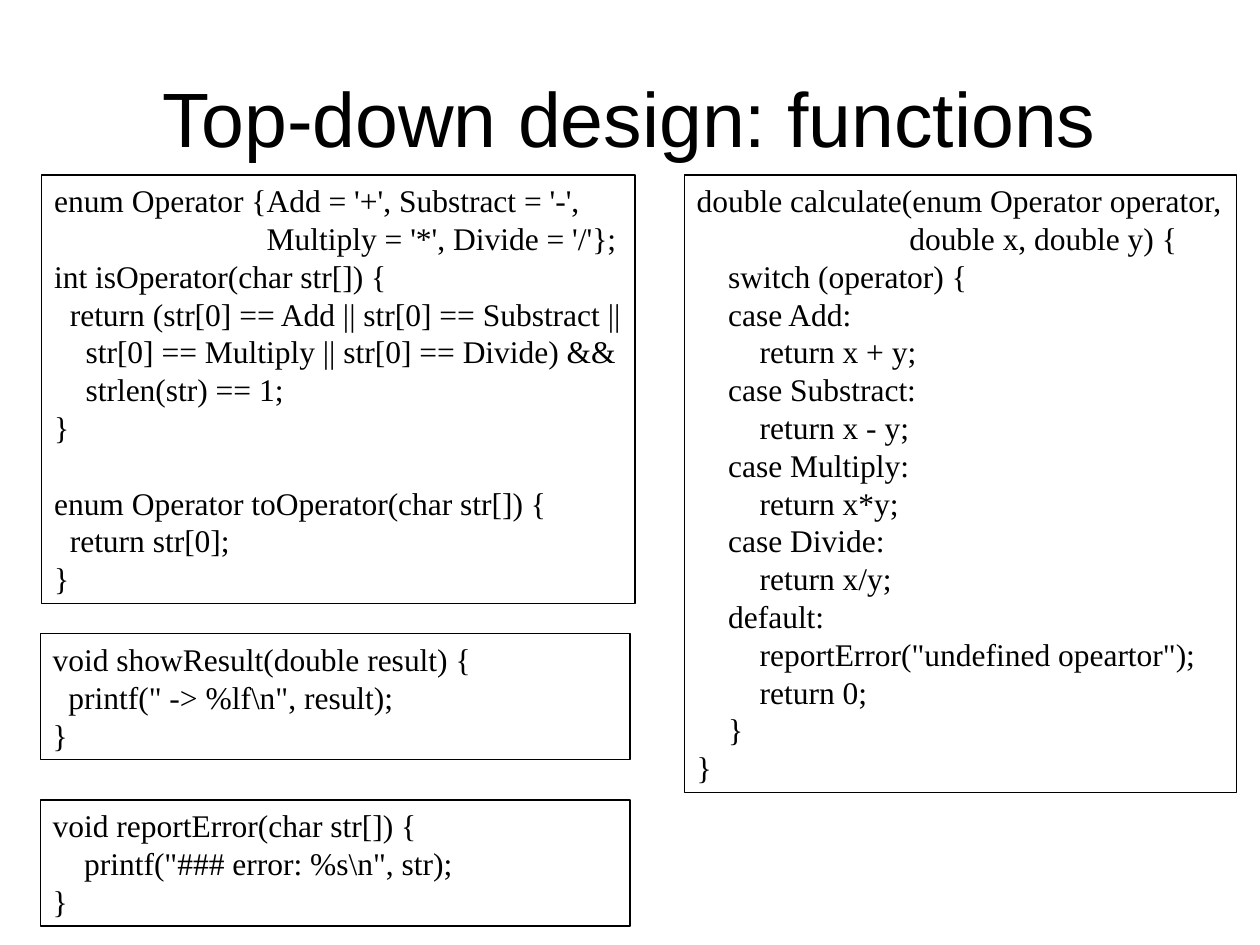
from typing import NamedTuple

from pptx import Presentation
from pptx import util as u
from pptx.dml.color import RGBColor
from pptx.enum import shapes, text

BLACK = "000000"
CODE_SIZE = 18
CODE_LEADING = 21.6
SPACE_WIDTH = CODE_SIZE / 4  # one space of Times New Roman

TITLE_FORMAT = {"name": "Arial", "size": u.Pt(44)}
CODE_FORMAT = {"name": "Times New Roman", "size": u.Pt(CODE_SIZE)}


class CodeLine(NamedTuple):
    indent: int  # in space widths
    code: str
    blank_before: int = 0  # in lines


class CodeBox(NamedTuple):
    left: float
    top: float
    width: float
    height: float
    wrap: bool
    lines: list[CodeLine]


def color(value: str) -> RGBColor:
    return RGBColor.from_string(value)


def set_attributes(target, values: dict) -> None:
    for name, value in values.items():
        setattr(target, name, value)


def write_paragraph(paragraph, words: str, font_format: dict, paragraph_format: dict) -> None:
    paragraph.text = words
    set_attributes(paragraph, paragraph_format)
    for run in paragraph.runs:
        set_attributes(run.font, font_format)
        run.font.color.rgb = color(BLACK)


def draw_title(slide, words: str) -> None:
    shape = slide.shapes.add_textbox(u.Pt(36), u.Pt(21.6), u.Pt(648), u.Pt(90))
    set_attributes(shape.text_frame, {
        "word_wrap": True, "vertical_anchor": text.MSO_ANCHOR.MIDDLE})
    write_paragraph(shape.text_frame.paragraphs[0], words, TITLE_FORMAT,
                    {"alignment": text.PP_ALIGN.CENTER})


def draw_code_box(slide, box: CodeBox) -> None:
    shape = slide.shapes.add_shape(
        shapes.MSO_SHAPE.RECTANGLE,
        u.Pt(box.left), u.Pt(box.top), u.Pt(box.width), u.Pt(box.height))
    shape.shadow.inherit = False
    shape.fill.background()
    shape.line.color.rgb = color(BLACK)
    shape.line.width = u.Pt(0.75)

    frame = shape.text_frame
    set_attributes(frame, {
        "word_wrap": box.wrap,
        "auto_size": text.MSO_AUTO_SIZE.SHAPE_TO_FIT_TEXT,
        "vertical_anchor": text.MSO_ANCHOR.TOP})
    for index, line in enumerate(box.lines):
        paragraph = frame.add_paragraph() if index else frame.paragraphs[0]
        write_paragraph(paragraph, line.code, CODE_FORMAT, {
            "alignment": text.PP_ALIGN.LEFT,
            "line_spacing": u.Pt(CODE_LEADING),
            "space_before": u.Pt(line.blank_before * CODE_LEADING)})
        properties = paragraph._p.get_or_add_pPr()
        properties.set("marL", str(u.Pt(line.indent * SPACE_WIDTH)))
        properties.set("indent", "0")


OPERATOR_LINES = [
    CodeLine(0, "enum Operator {Add = '+', Substract = '-',"),
    CodeLine(27, "Multiply = '*', Divide = '/'};"),
    CodeLine(0, "int isOperator(char str[]) {"),
    CodeLine(2, "return (str[0] == Add || str[0] == Substract ||"),
    CodeLine(4, "str[0] == Multiply || str[0] == Divide) &&\vstrlen(str) == 1;"),
    CodeLine(0, "}"),
    CodeLine(0, "enum Operator toOperator(char str[]) {", blank_before=1),
    CodeLine(2, "return str[0];"),
    CodeLine(0, "}"),
]

CALCULATE_LINES = [
    CodeLine(0, "double calculate(enum Operator operator,"),
    CodeLine(27, "double x, double y) {"),
    CodeLine(4, "switch (operator) {"),
    CodeLine(4, "case Add:"),
    CodeLine(8, "return x + y;"),
    CodeLine(4, "case Substract:"),
    CodeLine(8, "return x - y;"),
    CodeLine(4, "case Multiply:"),
    CodeLine(8, "return x*y;"),
    CodeLine(4, "case Divide:"),
    CodeLine(8, "return x/y;"),
    CodeLine(4, "default:"),
    CodeLine(8, 'reportError("undefined opeartor");'),
    CodeLine(8, "return 0;"),
    CodeLine(4, "}"),
    CodeLine(0, "}"),
]

REPORT_ERROR_LINES = [
    CodeLine(0, "void reportError(char str[]) {"),
    CodeLine(4, 'printf("### error: %s\\n", str);'),
    CodeLine(0, "}"),
]

SHOW_RESULT_LINES = [
    CodeLine(0, "void showResult(double result) {"),
    CodeLine(2, 'printf(" -> %lf\\n", result);'),
    CodeLine(0, "}"),
]

CODE_BOXES = [
    CodeBox(23.8, 100, 339.1, 244.8, False, OPERATOR_LINES),
    CodeBox(391, 100, 315.4, 352.8, False, CALCULATE_LINES),
    CodeBox(23, 457.2, 337, 72, True, REPORT_ERROR_LINES),
    CodeBox(23, 362.2, 337, 72, True, SHOW_RESULT_LINES),
]


def main() -> None:
    presentation = Presentation()
    presentation.slide_width = u.Pt(720)
    presentation.slide_height = u.Pt(540)
    slide = presentation.slides.add_slide(presentation.slide_layouts[6])

    # Heading
    draw_title(slide, "Top-down design: functions")

    # Function listings
    for box in CODE_BOXES:
        draw_code_box(slide, box)

    presentation.save("out.pptx")


if __name__ == "__main__":
    main()
